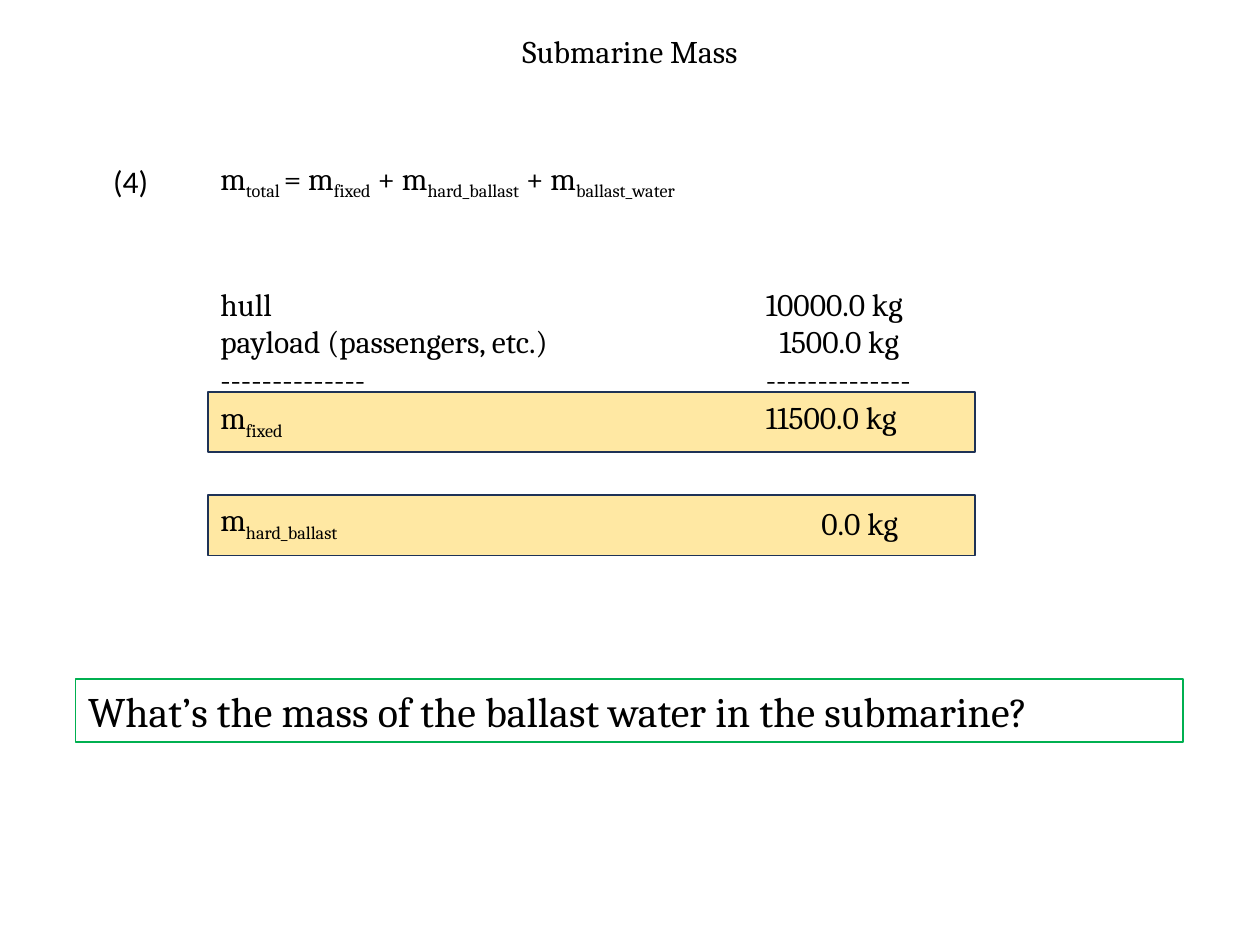
from pptx import Presentation
from pptx.dml.color import RGBColor
from pptx.enum.shapes import MSO_SHAPE as Shape
from pptx.enum.text import MSO_ANCHOR as Anchor, MSO_AUTO_SIZE as AutoSize, PP_ALIGN as Align
from pptx.oxml.ns import qn
from pptx.util import Inches, Pt
from lxml.etree import SubElement

BLACK = RGBColor(0x00, 0x00, 0x00)
AMBER = RGBColor(0xFF, 0xC0, 0x00)
NAVY = RGBColor(0x1E, 0x32, 0x56)
GREEN = RGBColor(0x00, 0xB0, 0x50)

TITLE = "Submarine Mass"
QUESTION = "What’s the mass of the ballast water in the submarine?"
RULE = "--------------"
LABEL_LEFT, VALUE_LEFT, VALUE_WIDTH = 1.65, 5.98, 1.5
BAND_WIDTH, BAND_HEIGHT = 6.09, 0.48
BAND_TOPS = [3.11, 3.93]

# Each line is (indent, runs); runs alternate between normal and subscript text.
EQUATION = [(0, ["m", "total ", "= m", "fixed", " + m", "hard_ballast", " + m", "ballast_water"])]
FIXED_LABELS = [(0, ["hull"]), (0, ["payload (passengers, etc.)"]), (0, [RULE]), (0, ["m", "fixed"])]
FIXED_VALUES = [(0, ["10000.0 kg"]), (0.11, ["1500.0 kg"]), (0, [RULE]), (0, ["11500.0 kg"])]
TEXTS = [
    (LABEL_LEFT, 2.21, 3.27, 1.31, "Cambria", FIXED_LABELS),
    (LABEL_LEFT, 1.21, 4.74, 0.4, "Cambria", EQUATION),
    (LABEL_LEFT, 3.92, 6.25, 0.4, "Cambria", [(0, ["m", "hard_ballast"])]),
    (VALUE_LEFT, 2.21, VALUE_WIDTH, 1.31, "Cambria", FIXED_VALUES),
    (VALUE_LEFT, 3.95, VALUE_WIDTH, 0.4, "Cambria", [(0.44, ["0.0 kg"])]),
    (0.8, 1.24, 0.48, 0.4, "Calibri", [(0, ["(4)"])]),
]


def add_span(para, text, font="Cambria", size=18, subscript=False):
    span = para.add_run()
    span.text = text
    span.font.name = font
    span.font.size = Pt(size)
    span.font.color.rgb = BLACK
    if subscript:
        span.font._element.set("baseline", "-25000")


def add_rectangle(page, left, top, width, height, line, line_width):
    box = page.shapes.add_shape(
        Shape.RECTANGLE, Inches(left), Inches(top), Inches(width), Inches(height))
    box.shadow.inherit = False
    box.line.color.rgb = line
    box.line.width = Pt(line_width)
    return box


def add_band(page, top):
    band = add_rectangle(page, LABEL_LEFT, top, BAND_WIDTH, BAND_HEIGHT, NAVY, 1)
    band.fill.solid()
    band.fill.fore_color.rgb = AMBER
    color = band.fill._xPr.find(qn("a:solidFill"))[0]
    SubElement(color, qn("a:alpha")).set("val", "36000")


def add_text(page, left, top, width, height, font, lines):
    box = page.shapes.add_textbox(Inches(left), Inches(top), Inches(width), Inches(height))
    frame = box.text_frame
    frame.word_wrap = font == "Cambria"
    for number, (indent, runs) in enumerate(lines):
        para = frame.add_paragraph() if number else frame.paragraphs[0]
        if indent:
            para._p.get_or_add_pPr().set("marL", str(Inches(indent)))
        for position, text in enumerate(runs):
            add_span(para, text, font, subscript=position % 2 == 1)


def add_title(page):
    title = page.shapes.title
    title.left, title.top = Inches(0), Inches(0.2)
    title.width, title.height = Inches(10), Inches(0.4)
    frame = title.text_frame
    frame.auto_size = AutoSize.NONE
    frame.vertical_anchor = Anchor.TOP
    frame.paragraphs[0].alignment = Align.CENTER
    add_span(frame.paragraphs[0], TITLE)


def add_question(page):
    box = add_rectangle(page, 0.6, 5.39, 8.79, 0.5, GREEN, 0.75)
    box.fill.background()
    frame = box.text_frame
    frame.word_wrap = False
    frame.vertical_anchor = Anchor.TOP
    frame.paragraphs[0].alignment = Align.LEFT
    add_span(frame.paragraphs[0], QUESTION, size=24)


def main():
    deck = Presentation()
    deck.slide_width, deck.slide_height = Inches(10), Inches(7.5)
    page = deck.slides.add_slide(deck.slide_layouts[5])
    add_title(page)
    for top in BAND_TOPS:
        add_band(page, top)
    for text in TEXTS:
        add_text(page, *text)
    add_question(page)
    deck.save("out.pptx")


if __name__ == "__main__":
    main()
